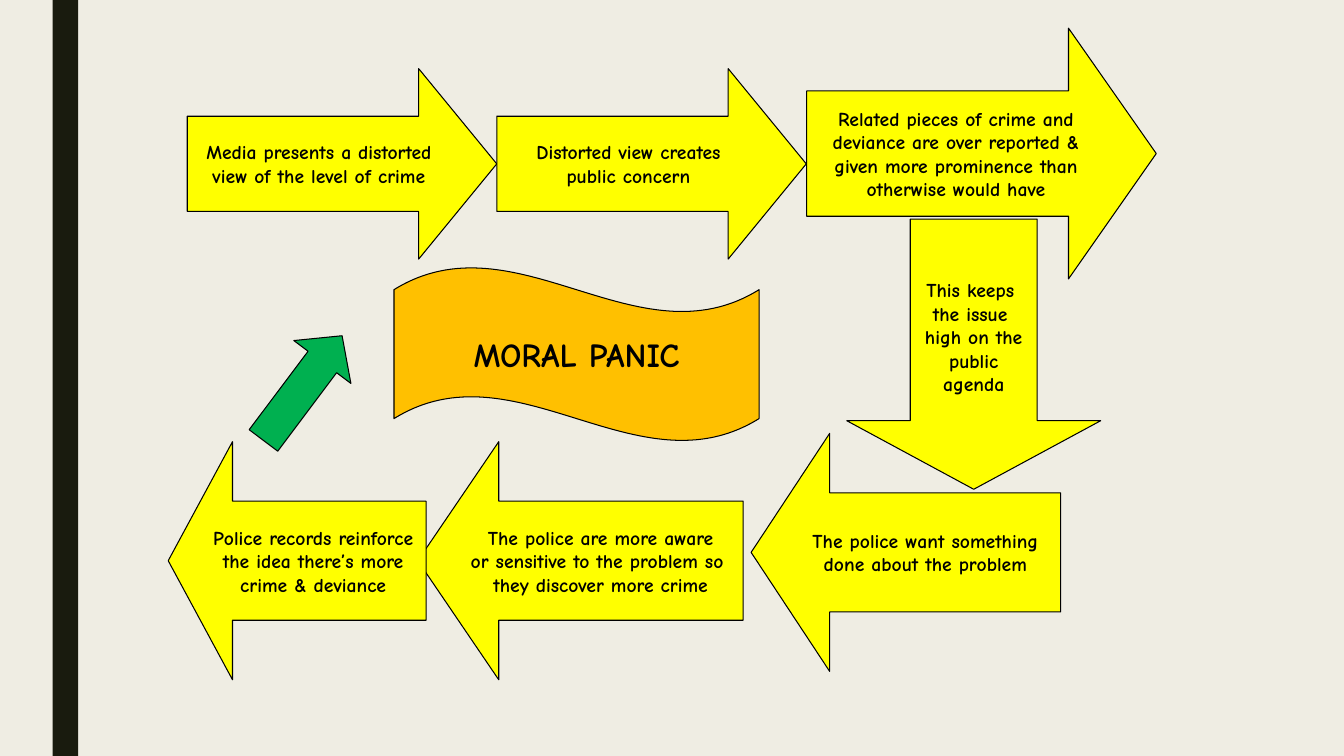
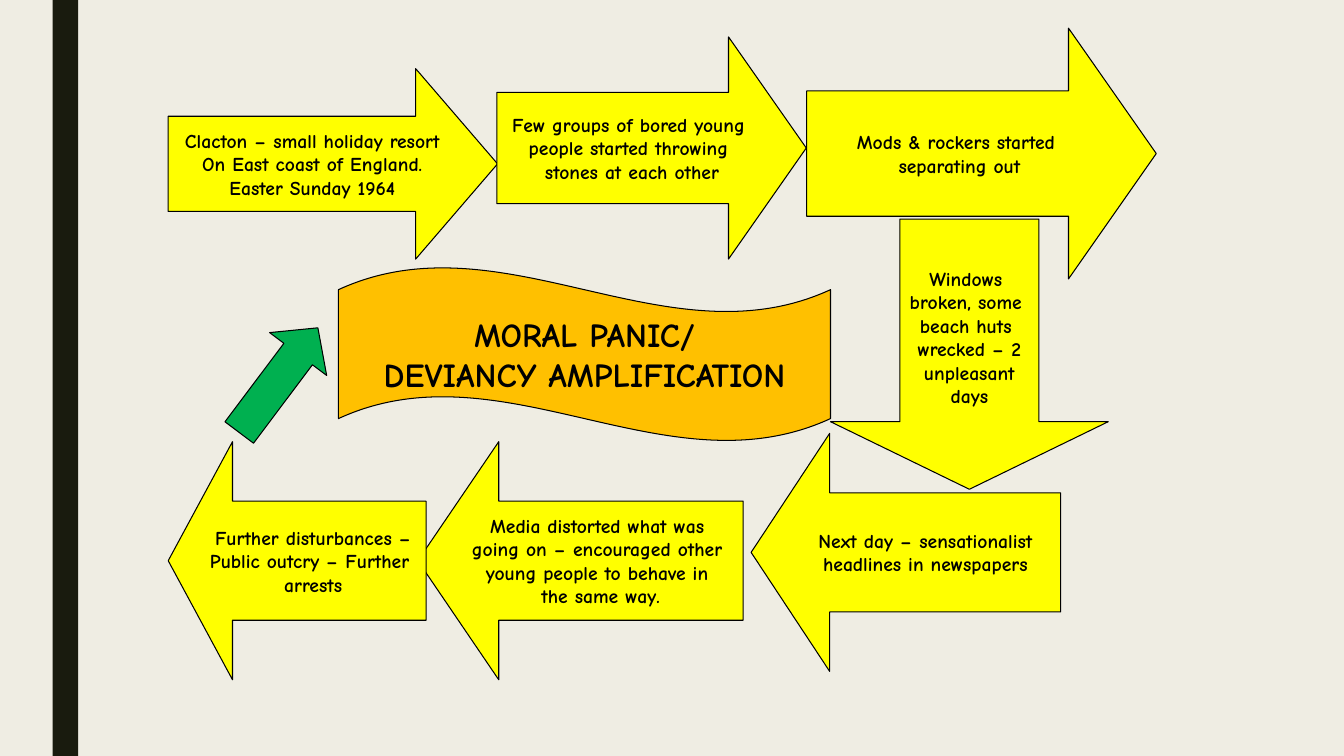
from dataclasses import dataclass

from pptx import Presentation
from pptx.dml.color import RGBColor
from pptx.enum import shapes, text
from pptx.util import Cm, Pt


@dataclass(frozen=True)
class Theme:
    background: str = "EFEDE3"
    band: str = "191B0E"
    step: str = "FFFF00"
    loop: str = "00B050"
    banner: str = "FFC000"
    ink: str = "000000"
    font: str = "Comic Neue"
    step_size: int = 14
    banner_size: int = 24
    line_width: float = 0.75


THEME = Theme()
KIND = shapes.MSO_SHAPE
RIGHT, DOWN, LEFT = KIND.RIGHT_ARROW, KIND.DOWN_ARROW, KIND.LEFT_ARROW
SLIDE_WIDTH, SLIDE_HEIGHT = 33.87, 19.05
BAND_BOX = (1.33, 0, 0.64, SLIDE_HEIGHT)
LOOP_ANGLE = 36.9

STEPS = [
    (RIGHT, (4.72, 1.73, 7.8, 4.8), 0.41),
    (RIGHT, (12.52, 1.73, 7.8, 4.8), 0.41),
    (RIGHT, (20.33, 0.71, 8.81, 6.32), 0.35),
    (DOWN, (21.34, 5.52, 6.4, 6.81), 0.27),
    (LEFT, (18.93, 10.92, 7.8, 6), 0.33),
    (LEFT, (10.53, 11.13, 8.2, 6), 0.34),
    (LEFT, (4.24, 11.13, 6.5, 6), 0.27),
]

SLIDES = [
    {
        "texts": [
            "Media presents a distorted \nview of the level of crime ",
            "Distorted view creates \npublic concern ",
            "Related pieces of crime and \ndeviance are over reported & \n"
            "given more prominence than \notherwise would have ",
            "This keeps \nthe issue \nhigh on the\npublic\nagenda",
            "The police want something\ndone about the problem",
            "The police are more aware\nor sensitive to the problem so \n"
            "they discover more crime",
            "Police records reinforce\nthe idea there’s more\ncrime & deviance",
        ],
        "changed_steps": {},
        "loop_box": (6.73, 8.13, 1.8, 3.3),
        "banner": "MORAL PANIC",
        "banner_box": (9.93, 6.73, 9.2, 4.39),
    },
    {
        "texts": [
            "Clacton – small holiday resort\nOn East coast of England.\n"
            "Easter Sunday 1964",
            "Few groups of bored young \npeople started throwing \n"
            "stones at each other",
            "Mods & rockers started \nseparating out",
            "Windows \nbroken, some \nbeach huts \nwrecked – 2\nunpleasant\ndays",
            "Next day – sensationalist\nheadlines in newspapers",
            "Media distorted what was \ngoing on – encouraged other \n"
            "young people to behave in \nthe same way.",
            "Further disturbances –\nPublic outcry – Further \narrests",
        ],
        "changed_steps": {
            0: (RIGHT, (4.24, 1.73, 8.3, 4.8), 0.43),
            1: (RIGHT, (12.52, 0.93, 7.8, 5.6), 0.35),
            3: (DOWN, (20.93, 5.52, 7, 6.81), 0.25),
        },
        "loop_box": (6.12, 7.93, 1.8, 3.3),
        "banner": "MORAL PANIC/\nDEVIANCY AMPLIFICATION",
        "banner_box": (8.53, 6.73, 12.4, 4.39),
    },
]


def add_figure(slide, kind, box, color, adjustments=(), outlined=True):
    shape = slide.shapes.add_shape(kind, *map(Cm, box))
    shape.shadow.inherit = False
    for index, value in enumerate(adjustments):
        shape.adjustments[index] = value
    shape.fill.solid()
    shape.fill.fore_color.rgb = RGBColor.from_string(color)
    if outlined:
        shape.line.color.rgb = RGBColor.from_string(THEME.ink)
        shape.line.width = Pt(THEME.line_width)
    else:
        shape.line.fill.background()
    return shape


def write(shape, wording, size):
    frame = shape.text_frame
    frame.text = wording
    frame.word_wrap = False
    frame.vertical_anchor = text.MSO_ANCHOR.MIDDLE
    for paragraph in frame.paragraphs:
        paragraph.alignment = text.PP_ALIGN.CENTER
        paragraph.font.name = THEME.font
        paragraph.font.size = Pt(size)
        paragraph.font.bold = True
        paragraph.font.color.rgb = RGBColor.from_string(THEME.ink)


def style_master(master, slide):
    master.background.fill.solid()
    master.background.fill.fore_color.rgb = RGBColor.from_string(THEME.background)
    band = add_figure(slide, KIND.RECTANGLE, BAND_BOX, THEME.band, outlined=False)
    band.element.nvSpPr.cNvPr.set("id", "100")
    master.shapes.element.append(band.element) if hasattr(
        master.shapes, "element"
    ) else master.shapes._spTree.append(band.element)


def draw_cycle(slide, content):
    for index, (step, wording) in enumerate(zip(STEPS, content["texts"])):
        kind, box, head = content["changed_steps"].get(index, step)
        arrow = add_figure(slide, kind, box, THEME.step, (0.5, head))
        write(arrow, wording, THEME.step_size)
    loop = add_figure(slide, KIND.UP_ARROW, content["loop_box"], THEME.loop, (0.5, 0.46))
    loop.rotation = LOOP_ANGLE
    banner = add_figure(slide, KIND.WAVE, content["banner_box"], THEME.banner, (0.13, 0))
    write(banner, content["banner"], THEME.banner_size)


def main():
    presentation = Presentation()
    presentation.slide_width = Cm(SLIDE_WIDTH)
    presentation.slide_height = Cm(SLIDE_HEIGHT)
    blank_layout = presentation.slide_layouts[6]
    for number, content in enumerate(SLIDES):
        slide = presentation.slides.add_slide(blank_layout)
        if number == 0:
            style_master(presentation.slide_master, slide)
        draw_cycle(slide, content)
    presentation.save("out.pptx")


if __name__ == "__main__":
    main()
